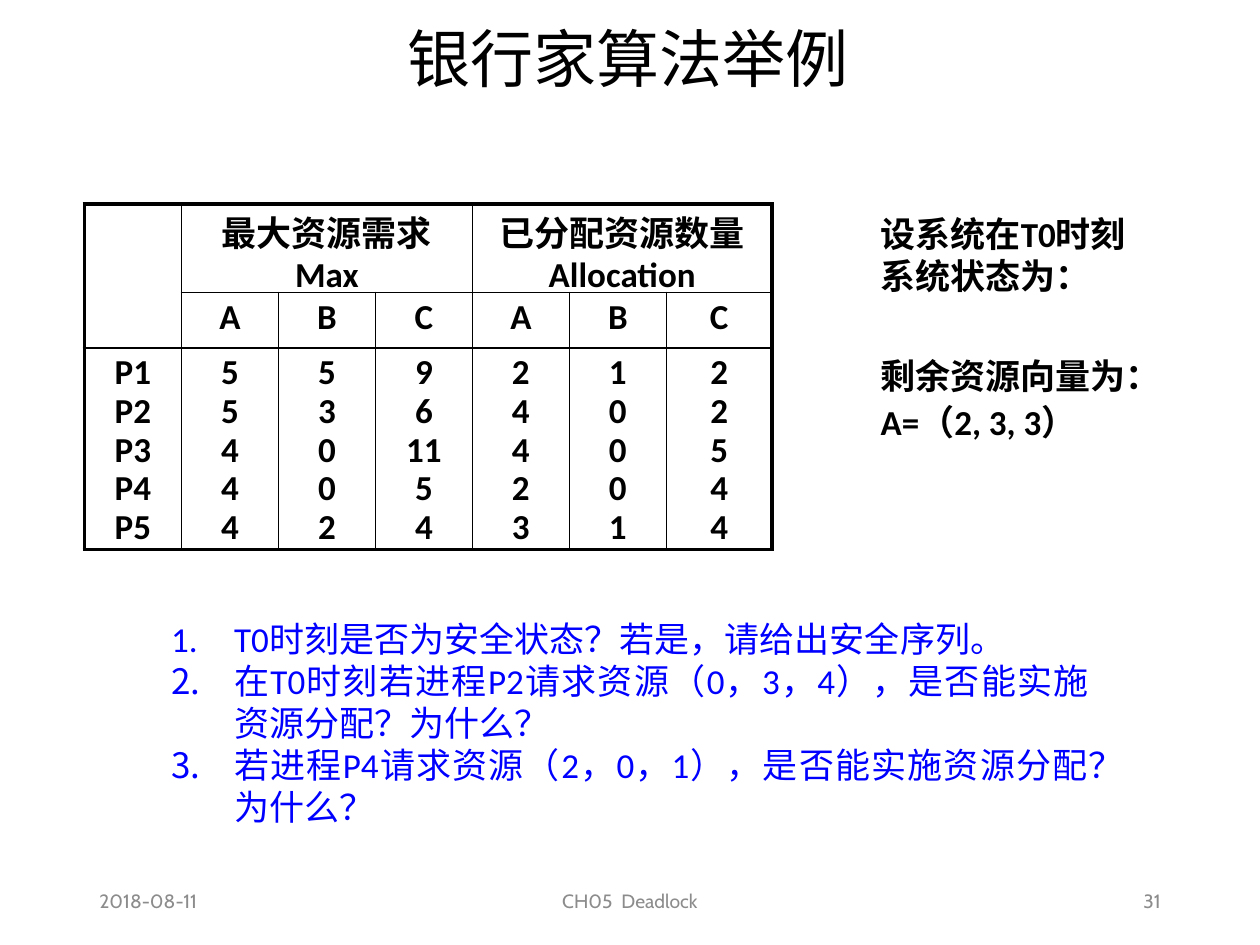
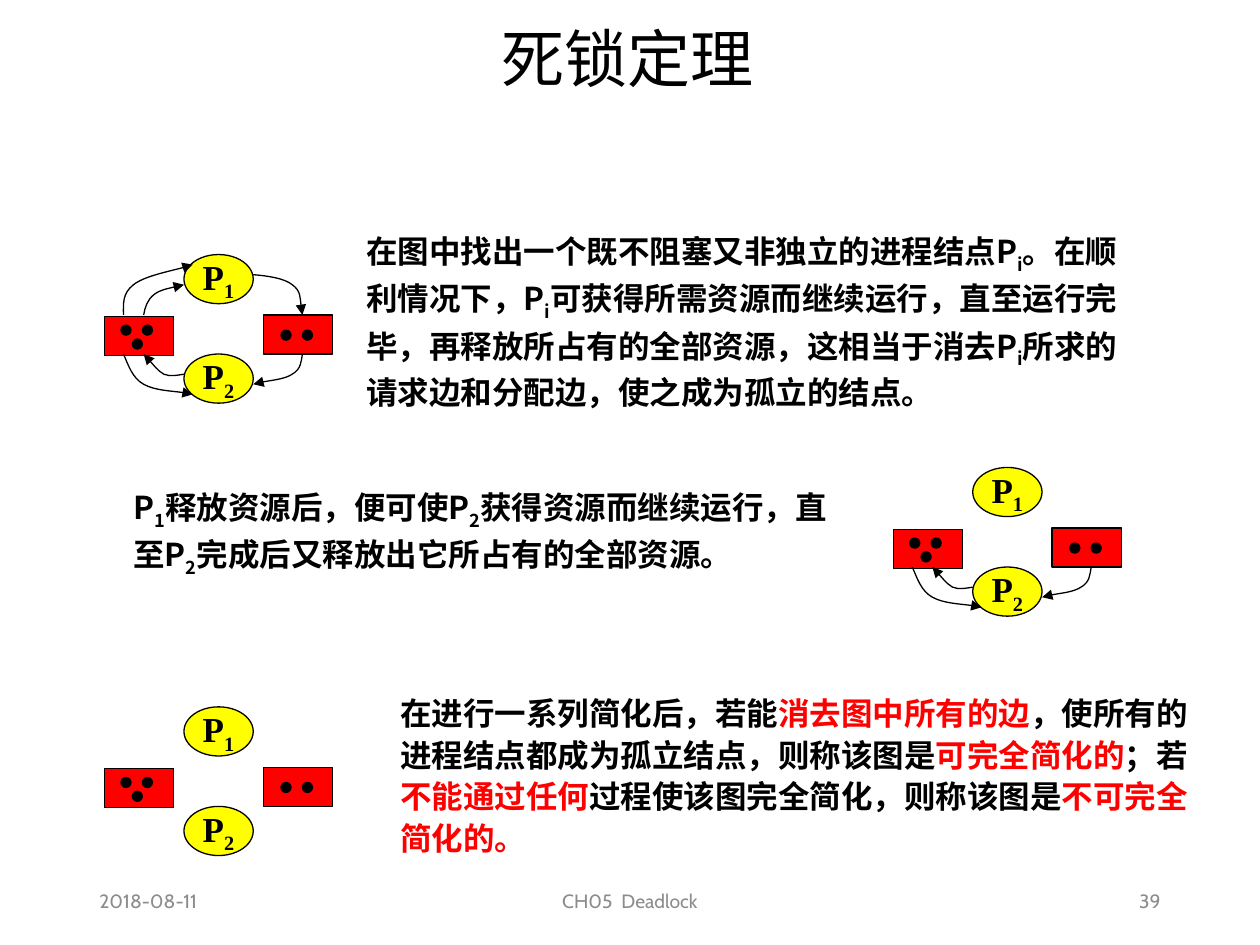
import lxml.etree
import pptx
import pptx.dml.color
import pptx.enum.shapes
import pptx.enum.text
import pptx.oxml.ns
import pptx.util

Inches, Pt = pptx.util.Inches, pptx.util.Pt
qn = pptx.oxml.ns.qn
ALIGN = pptx.enum.text.PP_ALIGN
ANCHOR = pptx.enum.text.MSO_ANCHOR
SHAPE = pptx.enum.shapes.MSO_SHAPE

BLACK, GREY, RED, BLUE, YELLOW = "000000", "8C8C8C", "FF0000", "0000FF", "FFFF00"
CJK, LATIN, FOOTER_FONT, NODE_FONT = "Noto Sans CJK SC", "Calibri", "Cabin", "Times New Roman"


def rgb(hex_string):
    """Turn a hex string into a colour."""
    return pptx.dml.color.RGBColor.from_string(hex_string)


def sub(parent, tag, **attributes):
    """Append an XML child with the given attributes."""
    child = lxml.etree.SubElement(parent, qn(tag))
    for name, value in attributes.items():
        child.set(name, str(value))
    return child


def style_run(r, size, font, color=BLACK, bold=False):
    """Give a run its font, size, weight and colour."""
    r.font.size, r.font.bold = Pt(size), bold
    r.font.color.rgb = rgb(color)
    r.font.name = font
    sub(r._r.get_or_add_rPr(), "a:ea", typeface=CJK)


def write(tf, lines, size, font, color=BLACK, bold=False, align=ALIGN.LEFT,
          spacing=None, marked=None):
    """Write paragraphs; every second part between bars is a subscript,
    or takes the colour given as marked."""
    for i, line in enumerate(lines):
        p = tf.add_paragraph() if i else tf.paragraphs[0]
        p.alignment = align
        if spacing:
            p.line_spacing = spacing
        for j, part in enumerate(line.split("|")):
            if not part:
                continue
            r = p.add_run()
            r.text = part
            odd = j % 2 == 1
            style_run(r, size, font, marked if odd and marked else color, bold)
            if odd and not marked:
                r._r.get_or_add_rPr().set("baseline", "-25000")


def add_text(s, box, lines, size, font, anchor=ANCHOR.TOP, **options):
    """Place a wrapping text box and return its text frame."""
    tf = s.shapes.add_textbox(*map(Inches, box)).text_frame
    tf.word_wrap = True
    tf.vertical_anchor = anchor
    write(tf, lines, size, font, **options)
    return tf


def add_slide(prs, title, number):
    """Add a slide with the shared title and footers."""
    s = prs.slides.add_slide(prs.slide_layouts[6])
    add_text(s, (0.67, 0.11, 8.62, 0.76), [title], 36, CJK, ANCHOR.MIDDLE,
             align=ALIGN.CENTER, spacing=0.9)
    footers = [(0.69, 2.25, "2018-08-11", ALIGN.LEFT),
               (3.31, 3.38, "CH05  Deadlock", ALIGN.CENTER),
               (7.06, 2.25, str(number), ALIGN.RIGHT)]
    for left, width, text, align in footers:
        add_text(s, (left, 6.95, width, 0.4), [text], 11, FOOTER_FONT,
                 ANCHOR.MIDDLE, color=GREY, align=align)
    return s


def border_cell(cell, thick):
    """Draw the four borders of a cell, the sides in thick heavier."""
    tcPr = cell._tc.get_or_add_tcPr()
    for side in "LRTB":
        ln = sub(tcPr, "a:ln" + side, w=Pt(2.25 if side in thick else 1))
        sub(sub(ln, "a:solidFill"), "a:srgbClr", val=BLACK)
    cell.fill.background()


def add_resource_table(s, left, top):
    """Table of maximum demand and allocation for each process."""
    widths, heights = [0.77] * 6 + [0.84], [0.69, 0.44, 1.6]
    table = s.shapes.add_table(3, 7, Inches(left), Inches(top), Inches(sum(widths)),
                               Inches(sum(heights))).table
    table.first_row = table.horz_banding = False
    for column, width in zip(table.columns, widths):
        column.width = Inches(width)
    for row, height in zip(table.rows, heights):
        row.height = Inches(height)
    for first, last in [((0, 0), (1, 0)), ((0, 1), (0, 3)), ((0, 4), (0, 6))]:
        table.cell(*first).merge(table.cell(*last))

    processes = [["P1", 5, 5, 9, 2, 1, 2],
                 ["P2", 5, 3, 6, 4, 0, 2],
                 ["P3", 4, 0, 11, 4, 0, 5],
                 ["P4", 4, 0, 5, 2, 0, 4],
                 ["P5", 4, 2, 4, 3, 1, 4]]
    texts = {(0, 1): ["最大资源需求Max"], (0, 4): ["已分配资源数量", "Allocation"]}
    for c, name in enumerate("ABCABC", 1):
        texts[1, c] = [name]
    for c, values in enumerate(zip(*processes)):
        texts[2, c] = [str(value) for value in values]

    for row in range(3):
        for c in range(7):
            cell = table.cell(row, c)
            if (row, c) in texts:
                write(cell.text_frame, texts[row, c], 20, LATIN, bold=True,
                      align=ALIGN.CENTER, spacing=0.9)
            last_col = c + (cell.span_width if cell.is_merge_origin else 1) - 1
            thick = (("L" if c == 0 else "") + ("R" if last_col == 6 else "")
                     + ("T" if row == 0 else "") + ("B" if row == 2 else ""))
            border_cell(cell, thick)


def add_questions(s, box, questions):
    """Numbered list of questions."""
    tf = add_text(s, box, questions, 20, LATIN, color=BLUE, align=ALIGN.JUSTIFY)
    for p in tf.paragraphs:
        pPr = p._p.get_or_add_pPr()
        pPr.set("marL", str(Inches(0.5)))
        pPr.set("indent", str(-Inches(0.5)))
        sub(pPr, "a:buFont", typeface=LATIN)
        sub(pPr, "a:buAutoNum", type="arabicPeriod")


# Edges of the resource graph: a start, then two cubic curves of three points.
P1_TO_RIGHT = [(1.18, 0.16), (1.3, 0.17), (1.43, 0.19), (1.49, 0.24),
               (1.56, 0.29), (1.56, 0.44), (1.57, 0.48)]
RIGHT_TO_P2 = [(1.57, 0.79), (1.56, 0.85), (1.56, 0.91), (1.49, 0.95),
               (1.43, 0.99), (1.23, 1.01), (1.18, 1.03)]
P2_TO_LEFT = [(0.63, 0.95), (0.57, 0.96), (0.52, 0.97), (0.47, 0.95),
              (0.42, 0.92), (0.34, 0.82), (0.31, 0.79)]
LEFT_TO_P2 = [(0.15, 0.79), (0.19, 0.88), (0.22, 0.98), (0.31, 1.03),
              (0.4, 1.08), (0.64, 1.09), (0.7, 1.11)]
LEFT_TO_P1_INNER = [(0.31, 0.48), (0.32, 0.42), (0.34, 0.36), (0.39, 0.32),
                    (0.44, 0.28), (0.59, 0.25), (0.63, 0.24)]
LEFT_TO_P1_OUTER = [(0.15, 0.48), (0.15, 0.39), (0.14, 0.31), (0.23, 0.24),
                    (0.32, 0.17), (0.63, 0.11), (0.7, 0.08)]
P2_EDGES = [RIGHT_TO_P2, P2_TO_LEFT, LEFT_TO_P2]
ALL_EDGES = [P1_TO_RIGHT] + P2_EDGES + [LEFT_TO_P1_INNER, LEFT_TO_P1_OUTER]


def outline(sp, fill=None):
    """Thin black line, flat fill, no shadow."""
    sp.shadow.inherit = False
    sp.line.color.rgb = rgb(BLACK)
    sp.line.width = Pt(0.75)
    if fill:
        sp.fill.solid()
        sp.fill.fore_color.rgb = rgb(fill)
    else:
        sp.fill.background()


def add_edge(group, left, top, points):
    """Curved arrow: the line segments of a freeform, joined into cubics."""
    points = [(Inches(left + x), Inches(top + y)) for x, y in points]
    builder = group.shapes.build_freeform(*points[0])
    builder.add_line_segments(points[1:], close=False)
    sp = builder.convert_to_shape()
    outline(sp)
    sub(sp.line._get_or_add_ln(), "a:tailEnd", type="triangle")
    outline_path = sp._element.find(".//" + qn("a:path"))
    segments = outline_path.findall(qn("a:lnTo"))
    for i in range(0, len(segments), 3):
        curve = sub(outline_path, "a:cubicBezTo")
        for segment in segments[i:i + 3]:
            curve.append(segment[0])
            outline_path.remove(segment)


def add_graph(s, left, top, edges):
    """Resource graph: two processes, two resources and the edges given."""
    group = s.shapes.add_group_shape()

    def place(kind, x, y, w, h, fill):
        sp = group.shapes.add_shape(kind, Inches(left + x), Inches(top + y),
                                    Inches(w), Inches(h))
        outline(sp, fill)
        return sp

    for number, y in [(1, 0), (2, 0.79)]:
        tf = place(SHAPE.OVAL, 0.63, y, 0.55, 0.39, YELLOW).text_frame
        tf.word_wrap = False
        tf.vertical_anchor = ANCHOR.MIDDLE
        write(tf, [f"P|{number}"], 20, NODE_FONT, bold=True, align=ALIGN.CENTER)
    resources = [(1.26, 0.48, [(0.14, 0.12), (0.31, 0.12)]),
                 (0, 0.49, [(0.13, 0.07), (0.3, 0.07), (0.22, 0.18)])]
    for x, y, dots in resources:
        place(SHAPE.RECTANGLE, x, y, 0.55, 0.31, RED)
        for dx, dy in dots:
            place(SHAPE.OVAL, x + dx, y + dy, 0.08, 0.08, BLACK)
    for points in edges:
        add_edge(group, left, top, points)


def build_banker_slide(prs):
    """Worked example of the banker's algorithm."""
    s = add_slide(prs, "银行家算法举例", 31)
    add_text(s, (6.89, 1.64, 2.25, 0.77), ["设系统在T0时刻系统状态为："],
             20, LATIN, bold=True)
    add_resource_table(s, 0.67, 1.62)
    add_text(s, (6.89, 2.73, 2.45, 0.84), ["剩余资源向量为：", "A=（2, 3, 3）"],
             20, LATIN, bold=True, spacing=1.1)
    add_questions(s, (1.26, 4.85, 7.48, 1.78), [
        "T0时刻是否为安全状态？若是，请给出安全序列。",
        "在T0时刻若进程P2请求资源（0，3，4），是否能实施资源分配？为什么？",
        "若进程P4请求资源（2，0，1），是否能实施资源分配？为什么？"])


def build_theorem_slide(prs):
    """Deadlock theorem: three steps of reducing the graph."""
    s = add_slide(prs, "死锁定理", 39)
    steps = [
        ((2.81, 1.76, 6.4, 1.43), (0.83, 2.02), ALL_EDGES, None,
         "在图中找出一个既不阻塞又非独立的进程结点P|i|。在顺利情况下，P|i|"
         "可获得所需资源而继续运行，直至运行完毕，再释放所占有的全部资源，"
         "这相当于消去P|i|所求的请求边和分配边，使之成为孤立的结点。"),
        ((0.96, 3.79, 5.83, 0.77), (7.09, 3.71), P2_EDGES, None,
         "P|1|释放资源后，便可使P|2|获得资源而继续运行，直至P|2|"
         "完成后又释放出它所占有的全部资源。"),
        ((3.08, 5.43, 6.46, 1.43), (0.83, 5.61), [], RED,
         "在进行一系列简化后，若能|消去图中所有的边|，使所有的进程结点都成为孤立结点，"
         "则称该图是|可完全简化的|；若|不能通过任何|过程使该图完全简化，"
         "则称该图是|不可完全简化的。")]
    for box, corner, edges, marked, text in steps:
        add_text(s, box, [text], 18, CJK, bold=True, spacing=1.1, marked=marked)
        add_graph(s, *corner, edges)


prs = pptx.Presentation()
prs.slide_width, prs.slide_height = Inches(10), Inches(7.5)
build_banker_slide(prs)
build_theorem_slide(prs)
prs.save("out.pptx")
